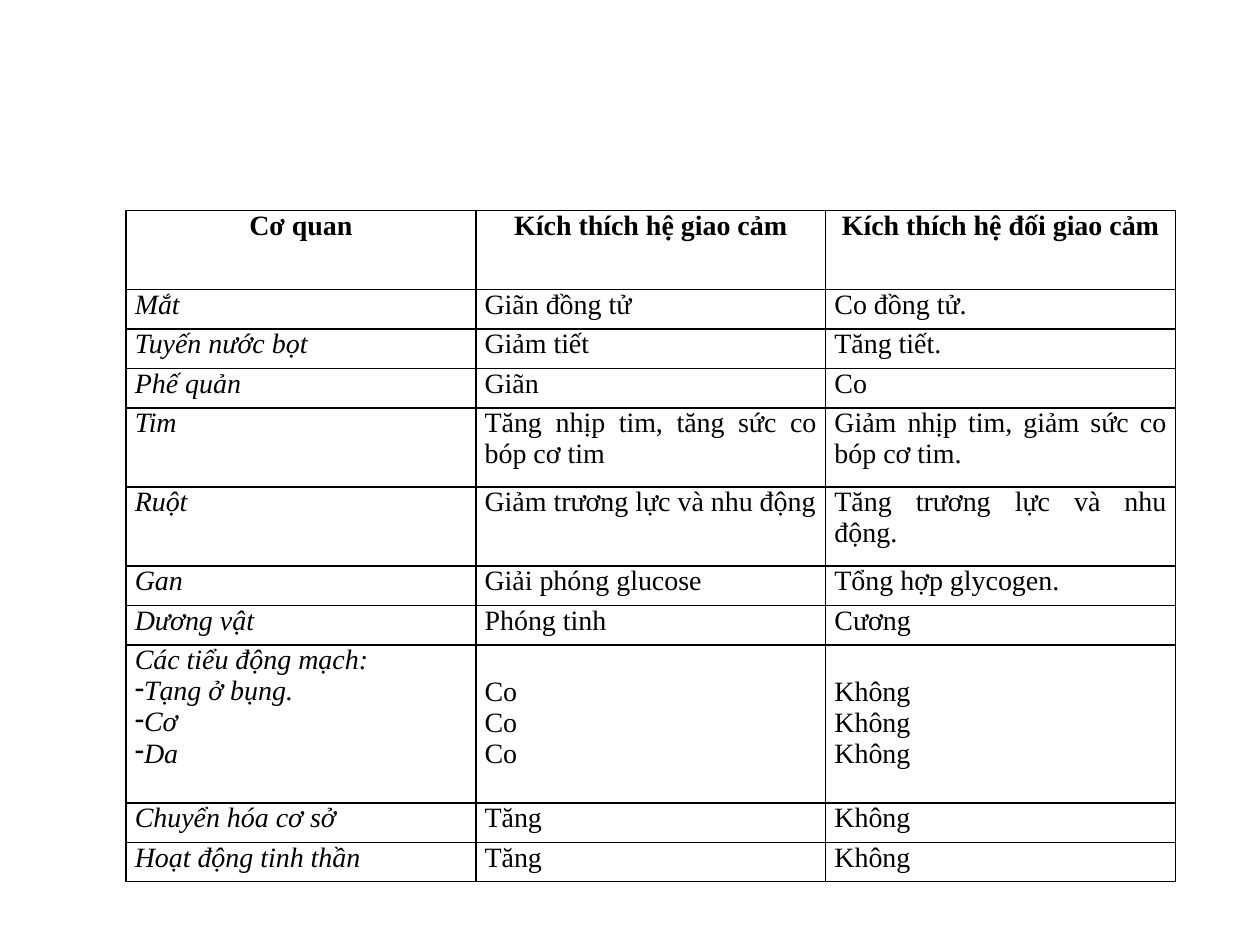
from dataclasses import dataclass

from lxml import etree
from pptx import Presentation
from pptx import util as u
from pptx.dml.color import RGBColor
from pptx.enum import text
from pptx.oxml import ns


@dataclass(frozen=True)
class Theme:
    font: str = "Times New Roman"
    size: int = 16
    ink: str = "000000"
    border: int = 1


THEME = Theme()
LEFT, TOP, WIDTH, HEIGHT = 1, 1.67, 8.33, 5.33
SIDE_MARGIN = 0.07
LINE = 0.25
DASH = "-"

HEADER = ("Cơ quan", "Kích thích hệ giao cảm", "Kích thích hệ đối giao cảm")

# Row height in units, then organ, sympathetic effect, parasympathetic effect
ORGANS = [
    (1, "Mắt", "Giãn đồng tử", "Co đồng tử."),
    (1, "Tuyến nước bọt", "Giảm tiết", "Tăng tiết."),
    (1, "Phế quản", "Giãn", "Co"),
    (2, "Tim", "Tăng nhịp tim, tăng sức co bóp cơ tim",
     "Giảm nhịp tim, giảm sức co bóp cơ tim."),
    (2, "Ruột", "Giảm trương lực và nhu động", "Tăng trương lực và nhu động."),
    (1, "Gan", "Giải phóng glucose", "Tổng hợp glycogen."),
    (1, "Dương vật", "Phóng tinh", "Cương"),
    (4, "Các tiểu động mạch:\n-Tạng ở bụng.\n-Cơ\n-Da",
     "Co\nCo\nCo", "Không\nKhông\nKhông"),
    (1, "Chuyển hóa cơ sở", "Tăng", "Không"),
    (1, "Hoạt động tinh thần", "Tăng", "Không"),
]


def add_border(cell):
    tc_pr = cell._tc.get_or_add_tcPr()
    for side in ("a:lnL", "a:lnR", "a:lnT", "a:lnB"):
        ln = etree.SubElement(tc_pr, ns.qn(side), w=str(u.Pt(THEME.border)))
        fill = etree.SubElement(ln, ns.qn("a:solidFill"))
        etree.SubElement(fill, ns.qn("a:srgbClr"), val=THEME.ink)


def add_dash(p):
    p_pr = p._p.get_or_add_pPr()
    p_pr.set("marL", "0")
    p_pr.set("indent", str(u.Inches(-0.11)))
    color = etree.SubElement(p_pr, ns.qn("a:buClr"))
    etree.SubElement(color, ns.qn("a:srgbClr"), val=THEME.ink)
    etree.SubElement(p_pr, ns.qn("a:buChar"), char=DASH)


def fill_cell(cell, content, align, bold=False, italic=False, top=0):
    """Write one paragraph per line; a leading dash becomes a bullet."""
    add_border(cell)
    cell.fill.background()
    cell.margin_left = cell.margin_right = u.Inches(SIDE_MARGIN)
    cell.margin_top, cell.margin_bottom = u.Inches(top), 0
    tf = cell.text_frame
    for i, line in enumerate(content.split("\n")):
        p = tf.paragraphs[0] if i == 0 else tf.add_paragraph()
        p.alignment = align
        if line.startswith(DASH):
            add_dash(p)
        p.add_run().text = line.removeprefix(DASH)
        p.font.name, p.font.size = THEME.font, u.Pt(THEME.size)
        p.font.bold, p.font.italic = bold, italic
        p.font.color.rgb = RGBColor.from_string(THEME.ink)


def add_organ_table(slide):
    heights = [2] + [units for units, *_ in ORGANS]
    table = slide.shapes.add_table(
        len(heights), len(HEADER), u.Inches(LEFT), u.Inches(TOP),
        u.Inches(WIDTH), u.Inches(HEIGHT)).table
    table.first_row = table.horz_banding = False
    for row, units in zip(table.rows, heights):
        row.height = u.Inches(HEIGHT * units / sum(heights))

    for col, title in enumerate(HEADER):
        fill_cell(table.cell(0, col), title, text.PP_ALIGN.CENTER, bold=True)
    for row, (_, organ, *effects) in enumerate(ORGANS, 1):
        fill_cell(table.cell(row, 0), organ, text.PP_ALIGN.JUSTIFY, italic=True)
        # Effects line up with the dashed items, one line below the heading
        top = LINE if DASH in organ else 0
        for col, effect in enumerate(effects, 1):
            fill_cell(table.cell(row, col), effect, text.PP_ALIGN.JUSTIFY, top=top)


def main():
    prs = Presentation()
    prs.slide_width, prs.slide_height = u.Inches(10), u.Inches(7.5)
    slide = prs.slides.add_slide(prs.slide_layouts[6])
    add_organ_table(slide)
    prs.save("out.pptx")


if __name__ == "__main__":
    main()
